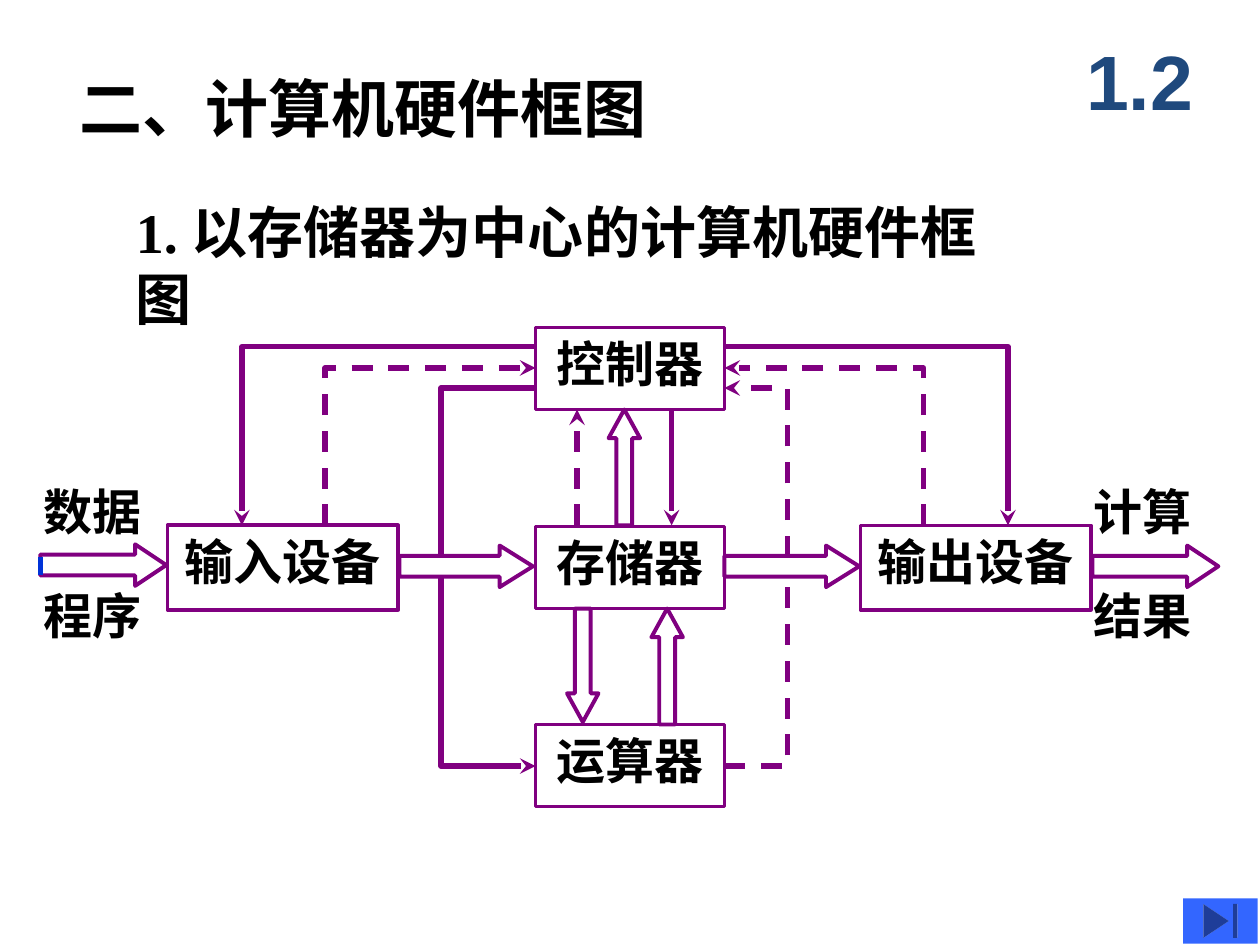
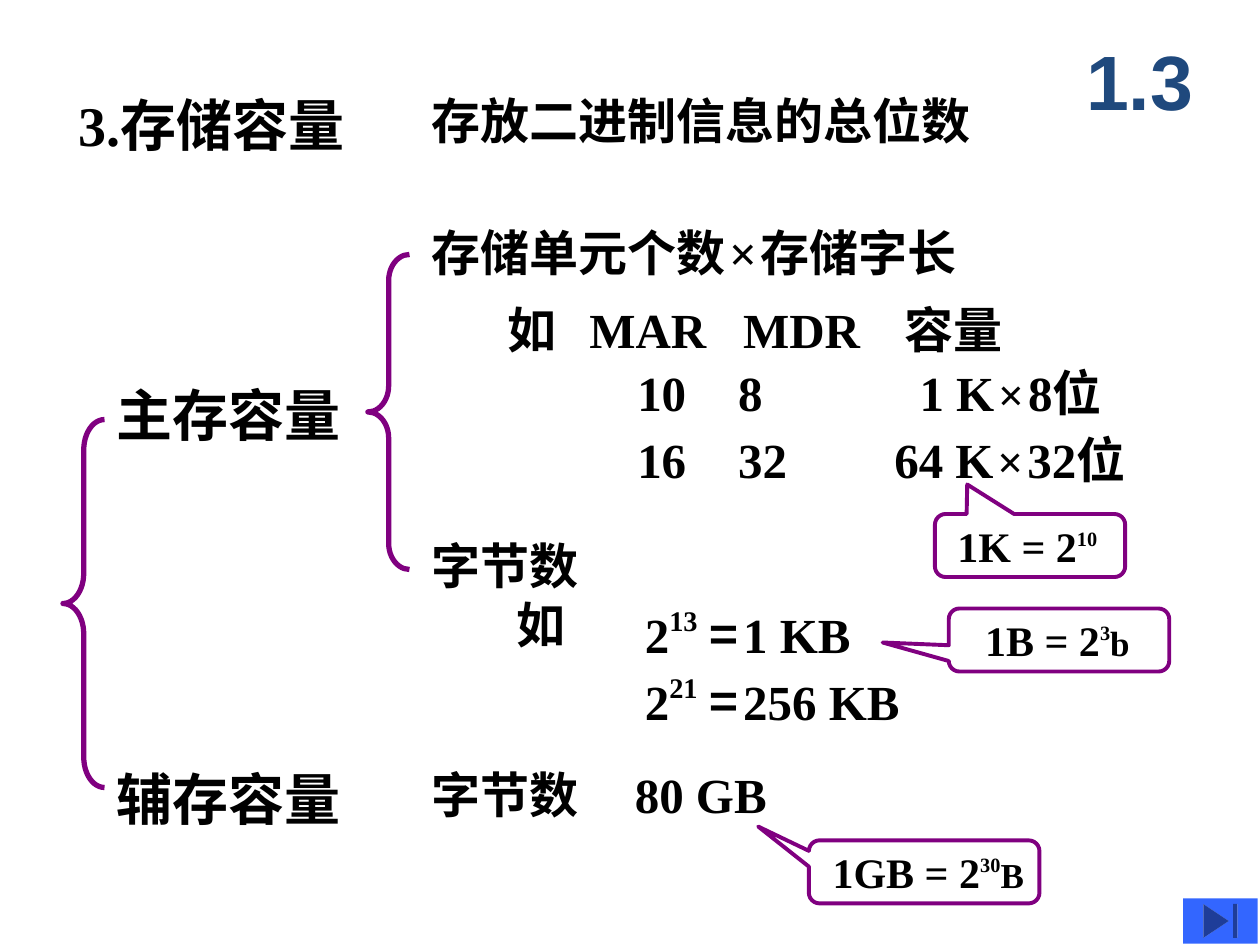
"""Two lecture slides on computer hardware: block diagram and storage capacity."""
from lxml import etree
from pptx import Presentation
from pptx.dml.color import RGBColor
from pptx.enum.dml import MSO_LINE
from pptx.enum.shapes import MSO_CONNECTOR, MSO_SHAPE
from pptx.enum.text import MSO_ANCHOR, MSO_AUTO_SIZE, PP_ALIGN
from pptx.oxml.ns import qn
from pptx.util import Inches, Pt

BLACK = RGBColor(0x00, 0x00, 0x00)
PURPLE = RGBColor(0x80, 0x00, 0x80)
NAVY = RGBColor(0x1F, 0x49, 0x7D)
BLUE = RGBColor(0x00, 0x33, 0xD8)
BUTTON_BLUE = RGBColor(0x33, 0x66, 0xFF)

SERIF = "Times New Roman"
CJK = "Noto Sans CJK SC"
SANS = "Arial"

LEFT, CENTER = PP_ALIGN.LEFT, PP_ALIGN.CENTER
TOP, MIDDLE = MSO_ANCHOR.TOP, MSO_ANCHOR.MIDDLE
NO_FIT = MSO_AUTO_SIZE.NONE
DASH = MSO_LINE.DASH
STRAIGHT = MSO_CONNECTOR.STRAIGHT
RECT = MSO_SHAPE.RECTANGLE
RIGHT_ARROW, UP_ARROW = MSO_SHAPE.RIGHT_ARROW, MSO_SHAPE.UP_ARROW
LEFT_BRACE = MSO_SHAPE.LEFT_BRACE
CALLOUT = MSO_SHAPE.ROUNDED_RECTANGULAR_CALLOUT
END_BUTTON = MSO_SHAPE.ACTION_BUTTON_END

TITLE_ONLY = 5
GAP_BEFORE = Pt(3.6)
THIN = (" ", {"size": 9})
TIMES = ("×", {"size": 26})


def inches(*values):
    """Convert several numbers to lengths."""
    return [Inches(v) for v in values]


def add_run(p, text, size, font=SERIF, color=BLACK, raised=False):
    """Add a bold run, with the East Asian font set next to the Latin one."""
    r = p.add_run()
    r.text = text
    r.font.size, r.font.bold, r.font.name = Pt(size), True, font
    r.font.color.rgb = color
    rPr = r._r.get_or_add_rPr()
    rPr.find(qn("a:latin")).addnext(
        etree.Element(qn("a:ea"), {"typeface": CJK}))
    if raised:
        rPr.set("baseline", "45000")


def write(sp, runs, size, align=LEFT, anchor=TOP, wrap=True, before=GAP_BEFORE,
          tabs=(), font=SERIF, color=BLACK):
    """Fill a shape with one paragraph; runs is a string or (text, changes)."""
    tf = sp.text_frame
    tf.auto_size, tf.word_wrap, tf.vertical_anchor = NO_FIT, wrap, anchor
    p = tf.paragraphs[0]
    p.alignment, p.space_before = align, before
    if tabs:
        tab_list = etree.SubElement(p._p.get_or_add_pPr(), qn("a:tabLst"))
        for tab in tabs:
            etree.SubElement(tab_list, qn("a:tab"),
                             {"pos": str(Inches(tab)), "algn": "l"})
    for run in [runs] if isinstance(runs, str) else runs:
        text, changes = (run, {}) if isinstance(run, str) else run
        add_run(p, text, **{"size": size, "font": font, "color": color,
                            **changes})


def add_text(s, runs, x, y, w, h, size=28, **style):
    """Add a text box."""
    sp = s.shapes.add_textbox(*inches(x, y, w, h))
    write(sp, runs, size, **style)
    return sp


def add_outline(s, kind, x, y, w, h, adjust=(), width=2.25):
    """Add an unfilled purple preset shape."""
    sp = s.shapes.add_shape(kind, *inches(x, y, w, h))
    sp.shadow.inherit = False
    sp.fill.background()
    sp.line.color.rgb, sp.line.width = PURPLE, Pt(width)
    for i, value in enumerate(adjust):
        sp.adjustments[i] = value
    return sp


def add_unit(s, text, x, y, w, h, width=2):
    """Add a labelled box of the hardware diagram."""
    sp = add_outline(s, RECT, x, y, w, h, width=width)
    write(sp, text, 28, align=CENTER)


def add_path(s, points, dashed=False, arrow=True, color=PURPLE):
    """Draw a line through points: a connector if straight, else a freeform."""
    points = [inches(*pt) for pt in points]
    if len(points) == 2:
        sp = s.shapes.add_connector(STRAIGHT, *points[0], *points[1])
        etree.SubElement(sp._element.spPr, qn("a:effectLst"))
    else:
        builder = s.shapes.build_freeform(*points[0])
        builder.add_line_segments(points[1:], close=False)
        sp = builder.convert_to_shape()
        sp.shadow.inherit = False
        sp.fill.background()
    sp.line.color.rgb, sp.line.width = color, Pt(3)
    if dashed:
        sp.line.dash_style = DASH
    if arrow:
        etree.SubElement(sp.line._get_or_add_ln(), qn("a:tailEnd"),
                         {"type": "stealth"})


def add_slide(prs, number, title, box, size):
    """Add a slide with its title, section number and end button."""
    s = prs.slides.add_slide(prs.slide_layouts[TITLE_ONLY])
    sp = s.shapes.title
    sp.left, sp.top, sp.width, sp.height = inches(*box)
    write(sp, title, size)
    add_text(s, number, 8.42, 0.17, 1.25, 0.92, 44, align=CENTER,
             anchor=MIDDLE, before=Pt(0), font=SANS, color=NAVY)
    button = s.shapes.add_shape(END_BUTTON, *inches(9.39, 7.13, 0.59, 0.36))
    button.shadow.inherit = False
    button.fill.solid()
    button.fill.fore_color.rgb = BUTTON_BLUE
    button.line.fill.background()
    return s


def build_diagram(prs):
    """Slide 1: hardware diagram centred on the memory."""
    s = add_slide(prs, "1.2", "二、计算机硬件框图", (0.53, 0.5, 7.05, 0.7), 36)
    add_text(s, "1. 以存储器为中心的计算机硬件框图", 0.98, 1.52, 7.2, 0.63, 32)

    for text, y in (("控制器", 2.6), ("存储器", 4.18), ("运算器", 5.75)):
        add_unit(s, text, 4.25, y, 1.5, 0.65)
    add_unit(s, "输入设备", 1.33, 4.17, 1.83, 0.67, 2.25)
    add_unit(s, "输出设备", 6.83, 4.17, 1.83, 0.67)

    for text, x, y in (("数据", 0.25, 3.77), ("程序", 0.25, 4.6),
                       ("计算", 8.58, 3.77), ("结果", 8.58, 4.6)):
        add_text(s, text, x, y, 0.98, 0.57, wrap=False)

    # Data flow
    for x, y, w, head in ((0.32, 4.32, 1, 0.75), (3.17, 4.33, 1.06, 0.8),
                          (5.75, 4.33, 1.07, 0.8), (8.67, 4.33, 1, 0.75)):
        add_outline(s, RIGHT_ARROW, x, y, w, 0.33, (0.5, head))
    for x, y, turn in ((4.83, 3.25, 0), (5.17, 4.83, 0), (4.5, 4.83, 180)):
        sp = add_outline(s, UP_ARROW, x, y, 0.25, 0.9 if turn else 0.92,
                         (0.5, 0.91))
        sp.rotation = turn

    # Control signals
    add_path(s, [(4.25, 2.75), (1.92, 2.75), (1.92, 4.17)])
    add_path(s, [(5.75, 2.75), (8, 2.75), (8, 4.17)])
    add_path(s, [(4.26, 3.08), (3.5, 3.08), (3.5, 4.42)], arrow=False)
    add_path(s, [(3.5, 4.58), (3.5, 6.08), (4.25, 6.08)])
    add_path(s, [(5.33, 3.25), (5.33, 4.17)])

    # Feedback signals
    add_path(s, [(2.58, 4.17), (2.58, 2.92), (4.25, 2.92)], dashed=True)
    add_path(s, [(7.33, 4.17), (7.33, 2.92), (5.75, 2.92)], dashed=True)
    add_path(s, [(5.75, 6.08), (6.25, 6.08), (6.25, 4.58)], dashed=True,
             arrow=False)
    add_path(s, [(6.25, 4.42), (6.25, 3.08), (5.75, 3.08)], dashed=True)
    add_path(s, [(4.58, 4.17), (4.58, 3.25)], dashed=True)

    add_path(s, [(0.32, 4.42), (0.32, 4.56)], arrow=False, color=BLUE)


def build_capacity(prs):
    """Slide 2: storage capacity of main and auxiliary memory."""
    s = add_slide(prs, "1.3", ["3", (".存储容量", {"font": SERIF})],
                  (0.52, 0.67, 3.48, 0.63), 32)
    add_outline(s, LEFT_BRACE, 0.5, 3.33, 0.33, 2.92, (0.73, 0.5), 3)
    add_outline(s, LEFT_BRACE, 2.92, 2.02, 0.33, 2.5, (0.63, 0.5), 3)
    add_text(s, "主存容量", 0.83, 2.97, 2.67, 0.63, 32)
    add_text(s, "辅存容量", 0.83, 6.02, 2.51, 0.63, 32)

    add_text(s, "存放二进制信息的总位数", 3.33, 0.67, 5.58, 0.57)
    add_text(s, ["存储单元个数", THIN, "×", THIN, "存储字长"],
             3.33, 1.72, 5.58, 0.57)
    add_text(s, "字节数", 3.33, 4.2, 2.3, 0.57)
    add_text(s, "字节数\t80 GB", 3.33, 6.02, 3.75, 0.57, tabs=[1.61])

    # Examples by address and data register width
    add_text(s, "如\tMAR\tMDR\t容量", 3.93, 2.33, 5.74, 0.57,
             tabs=[0.65, 1.87, 3.15])
    for mar, mdr, count, x, y in (("10", "8", "1", 7.2, 2.83),
                                  ("16", "32", "64", 7, 3.36)):
        add_text(s, f"{mar}\t{mdr}", 4.96, y, 2, 0.57, tabs=[0.8])
        add_text(s, [f"{count} K", THIN, TIMES, THIN, f"{mdr}位"],
                 x, y, 2.33, 0.57)

    # Examples in bytes
    add_text(s, "如", 4, 4.67, 0.83, 0.57)
    for power, amount, y in (("13", "1", 4.74), ("21", "256", 5.27)):
        add_text(s, ["2", (power, {"raised": True}), " ",
                     ("=", {"font": CJK}), (" ", {"size": 10}),
                     f"{amount} KB"],
                 5.02, y, 2.84, 0.57, before=Pt(0))

    # Unit callouts: box, pointer, text left edge
    for text, power, unit, unit_size, box, tip, text_x in (
            ("1K = 2", "10", "", 20, (7.42, 4.08, 1.51), (-0.33, -0.97), 7.5),
            ("1B = 2", "3", "b", 20, (7.53, 4.83, 1.75), (-0.8, 0.04), 7.72),
            ("1GB = 2", "30", "B", 20, (6.42, 6.67, 1.83), (-0.72, -0.72),
             6.51)):
        add_outline(s, CALLOUT, *box, 0.5, (*tip, 0.17))
        runs = [text, (power, {"size": 20, "raised": True})]
        if unit:
            runs.append((unit, {"size": unit_size}))
        add_text(s, runs, text_x, box[1], 2.2, 0.5, 24)


def main():
    """Build and save the presentation."""
    prs = Presentation()
    prs.slide_width, prs.slide_height = inches(10, 7.5)
    build_diagram(prs)
    build_capacity(prs)
    prs.save("out.pptx")


main()
